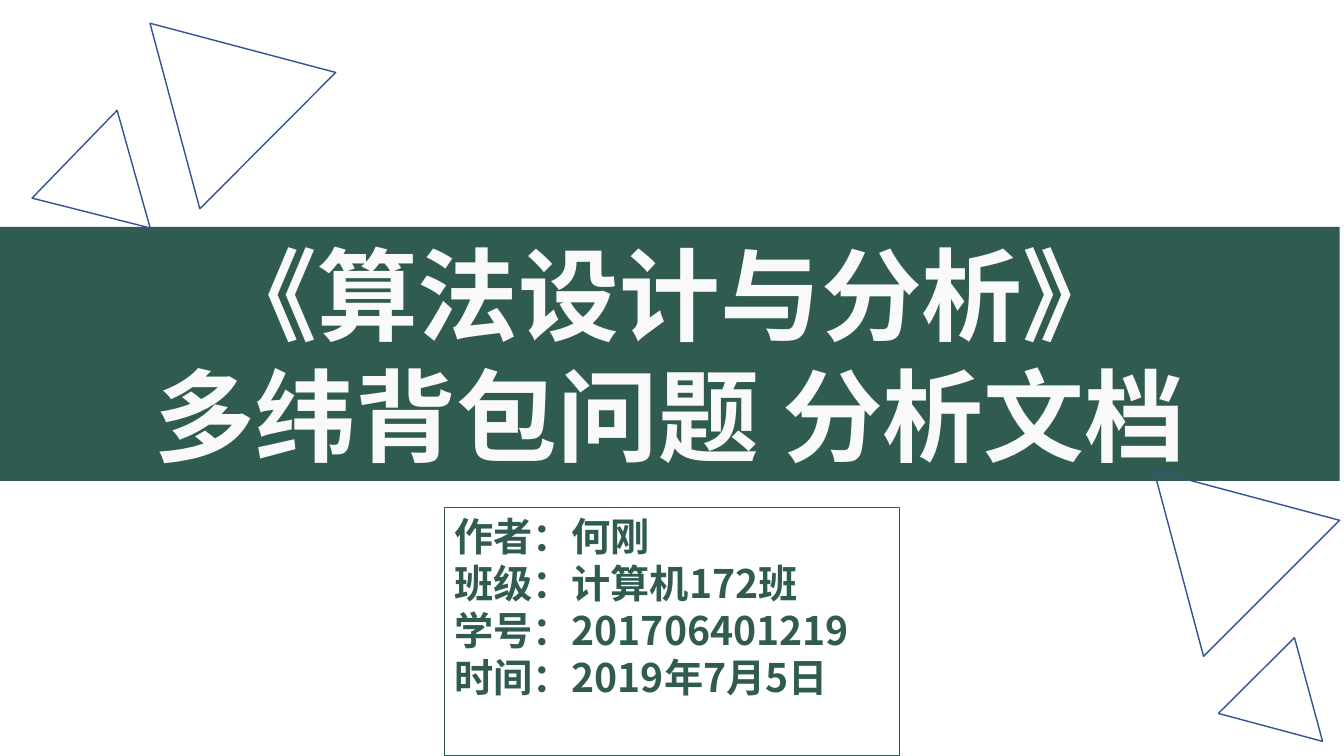
from pptx import Presentation
from pptx import util as u
from pptx.dml.color import RGBColor
from pptx.enum import shapes, text
from lxml import etree

FONT = "Noto Sans CJK SC"
GREEN, BLUE, PALE = "2F5B50", "325491", "F9F9F9"
TITLE = ["《算法设计与分析》", "多纬背包问题 分析文档"]
FACTS = ["作者：何刚", "班级：计算机172班", "学号：201706401219", "时间：2019年7月5日"]
CORNERS = [
    (1.09, 2.74, 3.07, 2.67, 14.2),
    (2.84, -0.03, 4.85, 4.19, 314.9),
    (28.14, 11.25, 4.85, 4.19, 315),
    (30.96, 16.03, 2.72, 2.34, 15),
]


def tint(code):
    """Turn a hex string into a colour."""
    return RGBColor.from_string(code)


def place(shape, box):
    """Move a shape to a box given in centimetres."""
    shape.left, shape.top, shape.width, shape.height = map(u.Cm, box)


def write(shape, lines, size, color, pitch, align, anchor):
    """Fill a shape with bold lines of one format."""
    frame = shape.text_frame
    frame.text = "\n".join(lines)
    frame.word_wrap = True
    frame.auto_size = text.MSO_AUTO_SIZE.NONE
    frame.vertical_anchor = anchor
    for para in frame.paragraphs:
        para.alignment = align
        para.line_spacing = u.Pt(pitch)
        para.space_before = para.space_after = u.Pt(0)
        for run in para.runs:
            font = run.font
            font.name, font.size, font.bold = FONT, u.Pt(size), True
            font.color.rgb = tint(color)
            latin = run._r.rPr.find("{*}latin")
            east = etree.Element(latin.tag.replace("latin", "ea"), typeface=FONT)
            latin.addnext(east)


def outline(slide, kind, box, color, width):
    """Add an unfilled shape with a coloured line."""
    shape = slide.shapes.add_shape(kind, *map(u.Cm, box))
    shape.shadow.inherit = False
    shape.fill.background()
    shape.line.color.rgb = tint(color)
    shape.line.width = u.Pt(width)
    return shape


def banner(slide, box):
    """Make the title a filled band."""
    title = slide.shapes.title
    place(title, box)
    title.fill.solid()
    title.fill.fore_color.rgb = tint(GREEN)
    write(title, TITLE, size=72, color=PALE, pitch=86,
          align=text.PP_ALIGN.CENTER, anchor=text.MSO_ANCHOR.MIDDLE)


def corners(slide):
    """Scatter the turned triangles."""
    for *box, turn in CORNERS:
        shape = outline(slide, shapes.MSO_SHAPE.ISOSCELES_TRIANGLE, box, BLUE, 1)
        shape.rotation = turn


def details(slide, box):
    """Add the framed author details."""
    card = outline(slide, shapes.MSO_SHAPE.RECTANGLE, box, GREEN, 0.75)
    write(card, FACTS, size=28, color=GREEN, pitch=33.5,
          align=text.PP_ALIGN.LEFT, anchor=text.MSO_ANCHOR.TOP)


def main():
    """Build and save the cover slide."""
    deck = Presentation()
    deck.slide_width, deck.slide_height = u.Cm(33.87), u.Cm(19.05)
    slide = deck.slides.add_slide(deck.slide_layouts[5])
    banner(slide, (0, 5.72, 33.76, 6.4))
    corners(slide)
    details(slide, (11.2, 12.8, 11.46, 6.25))
    deck.save("out.pptx")


if __name__ == "__main__":
    main()
